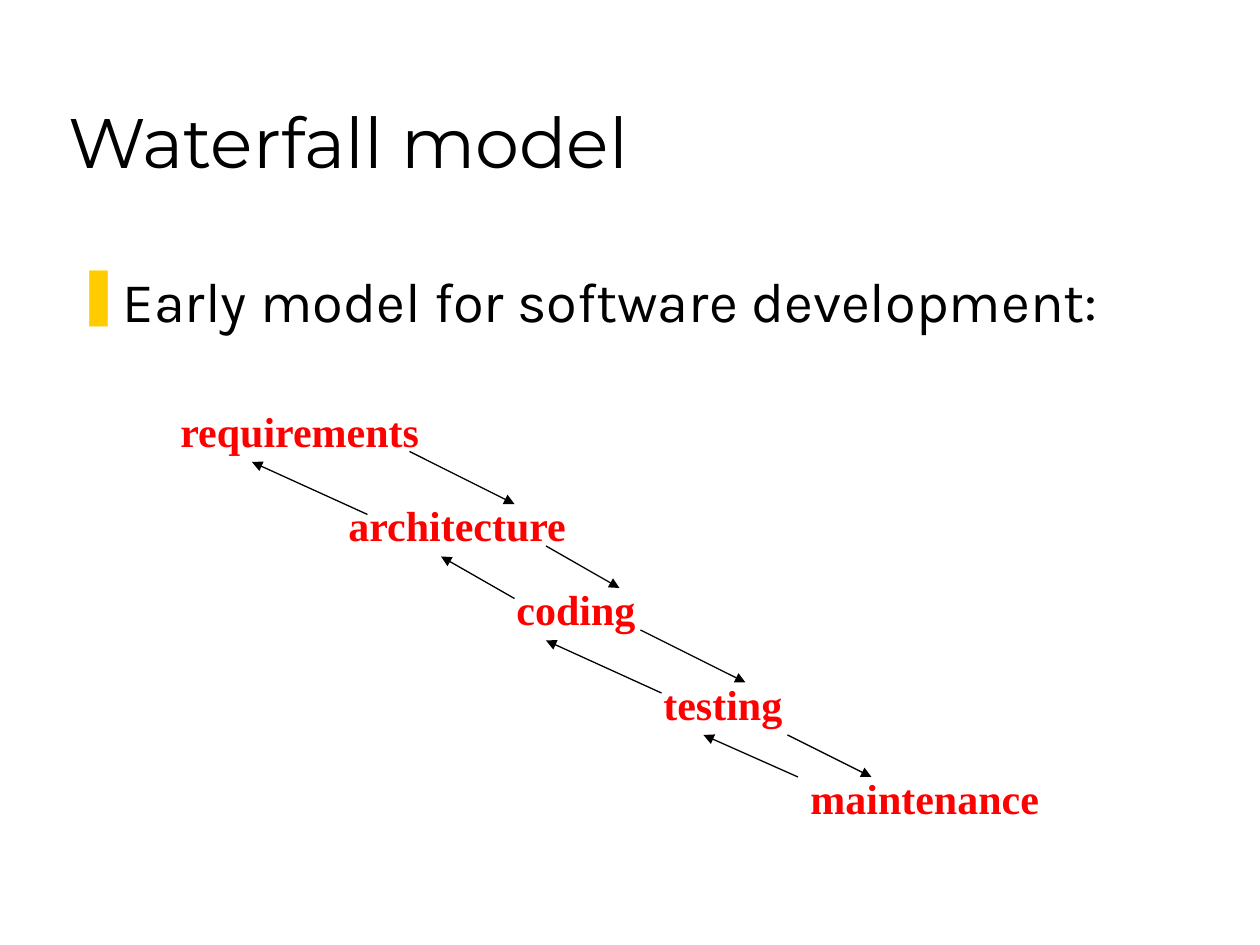
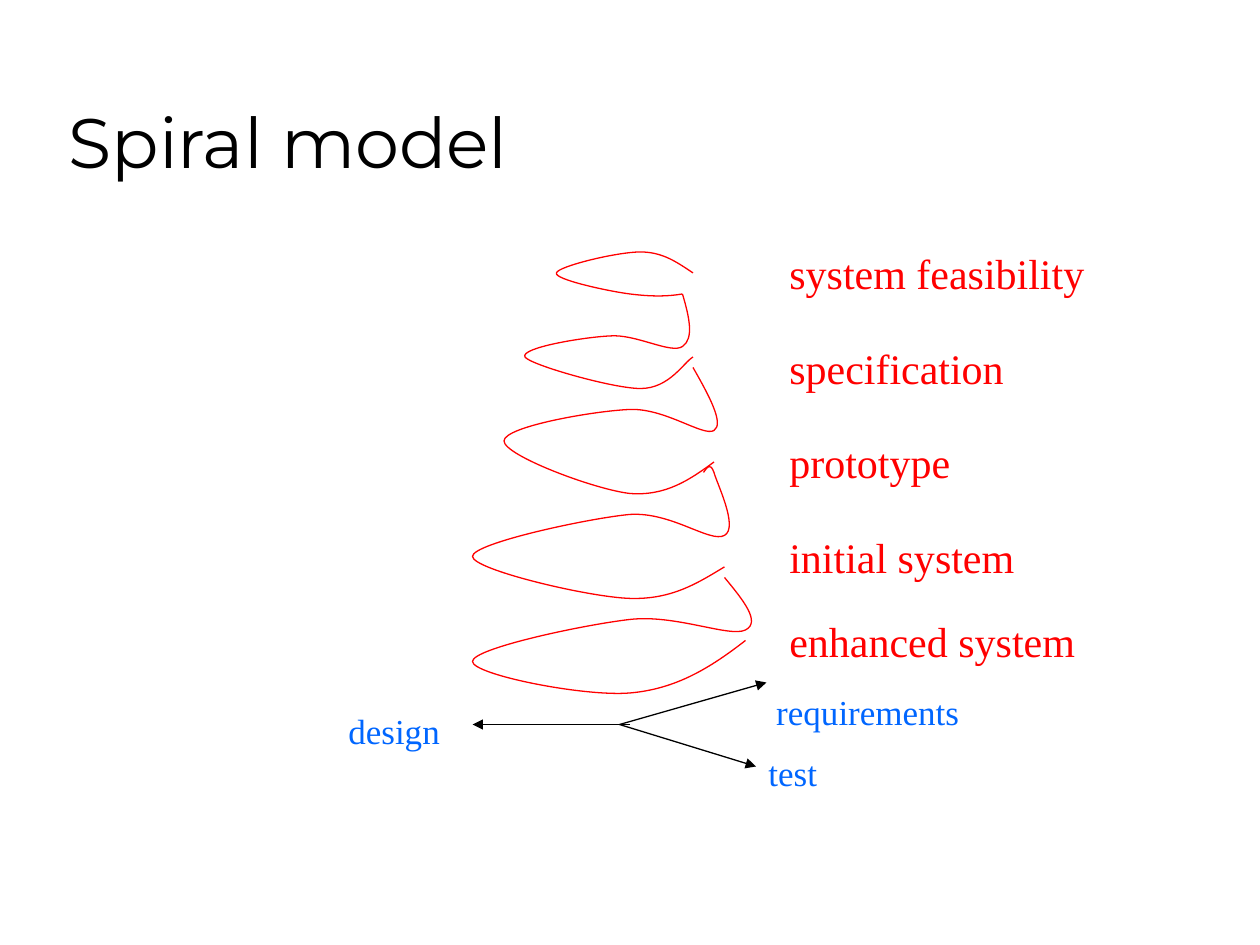
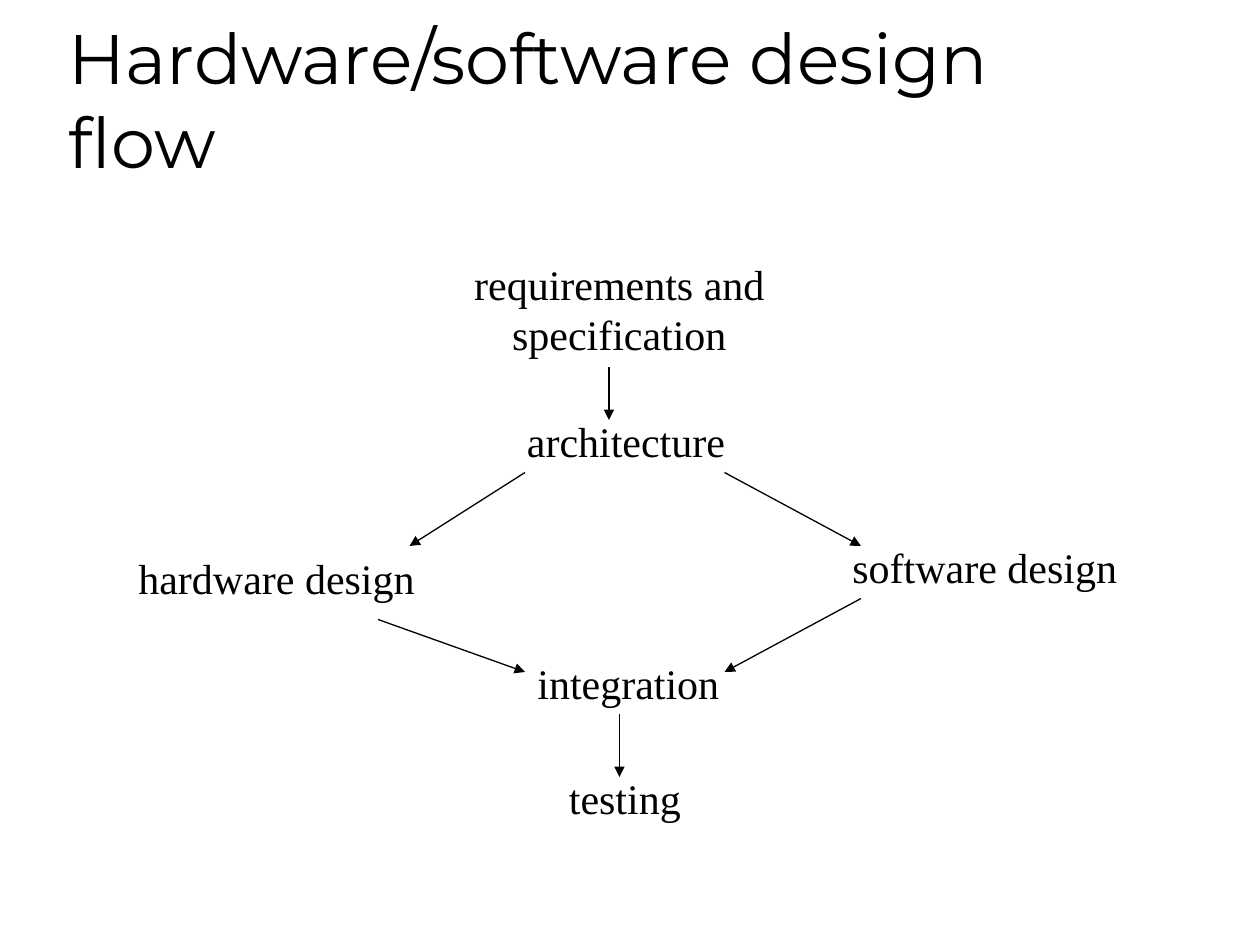
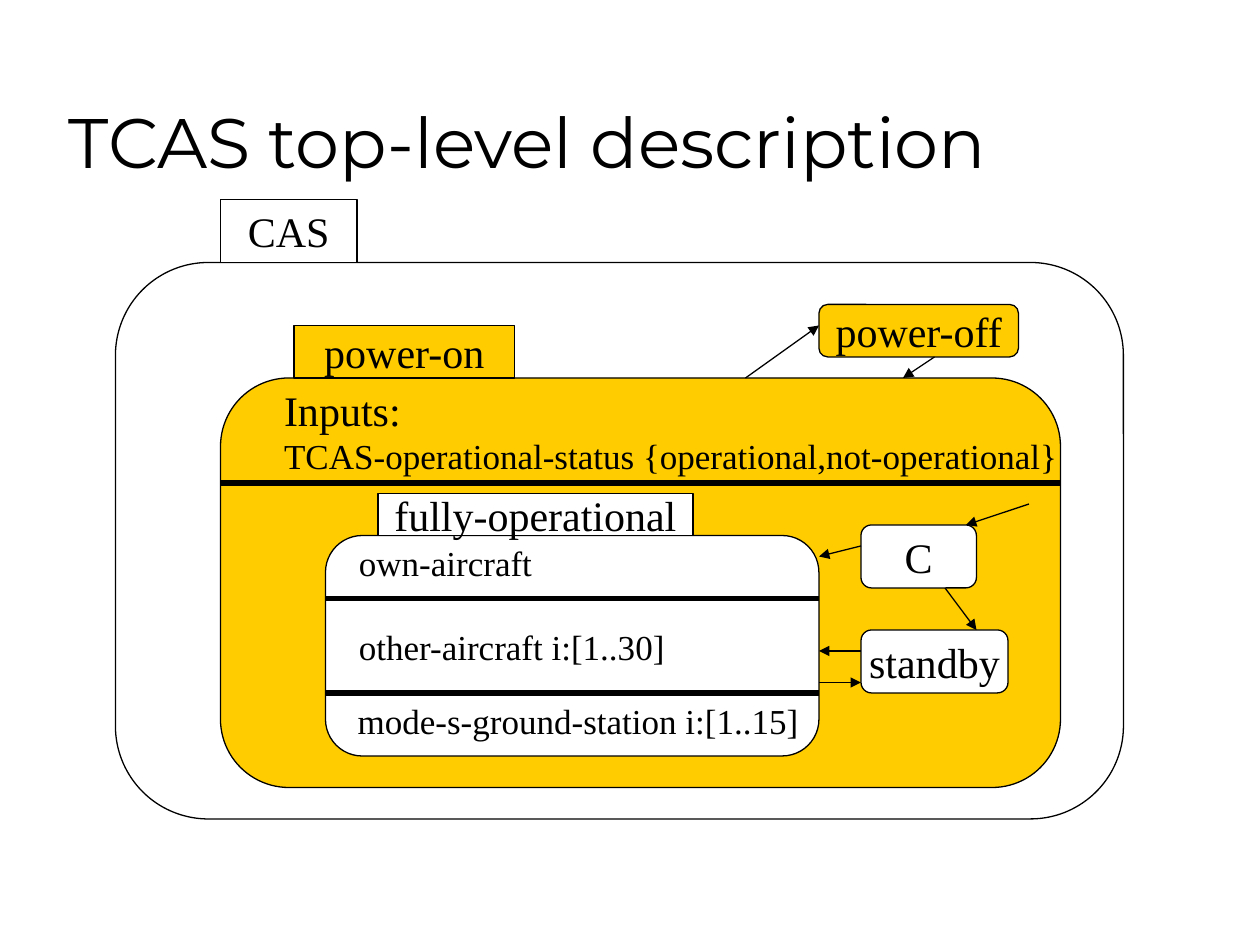
from dataclasses import dataclass

import pptx
import pptx.dml.color
import pptx.enum.shapes
import pptx.enum.text
import pptx.oxml
import pptx.oxml.ns
import pptx.util
from pptx.presentation import Presentation
from pptx.shapes.base import BaseShape
from pptx.slide import Slide
from pptx.text.text import TextFrame

PX = 9525  # one px is 1/96 inch
Point = tuple[int, int]
ALIGN = pptx.enum.text.PP_ALIGN
ANCHOR = pptx.enum.text.MSO_ANCHOR
SHAPE = pptx.enum.shapes.MSO_SHAPE


@dataclass(frozen=True)
class Theme:
    black: str = "000000"
    white: str = "FFFFFF"
    red: str = "FF0000"
    blue: str = "0066FF"
    yellow: str = "FFCC00"
    title_font: str = "Montserrat"
    body_font: str = "Karla"
    label_font: str = "Times New Roman"
    title_size: int = 40
    body_size: int = 32
    label_size: int = 24
    small_size: int = 20
    thin: float = 0.75
    thick: float = 3


THEME = Theme()


@dataclass(frozen=True)
class Label:
    """Diagram text; a line without a size of its own takes the last size."""
    text: str
    left: int
    top: int
    width: int
    color: str = THEME.black
    sizes: tuple[int, ...] = (THEME.label_size,)
    bold: bool = False
    align: ALIGN = ALIGN.LEFT


@dataclass(frozen=True)
class Box:
    left: int
    top: int
    width: int
    height: int
    fill: str = THEME.white
    text: str = ""
    rounded: bool = True


@dataclass(frozen=True)
class Line:
    start: Point
    end: Point
    width: float = THEME.thin
    arrow: bool = True


@dataclass(frozen=True)
class Curve:
    """A chain of cubic curves: two handles and an end for each."""
    start: Point
    points: tuple[Point, ...]


# Drawing

def px(*lengths: int) -> list[pptx.util.Emu]:
    return [pptx.util.Emu(length * PX) for length in lengths]


def rgb(color: str) -> pptx.dml.color.RGBColor:
    return pptx.dml.color.RGBColor.from_string(color)


def format_text(frame: TextFrame, font: str, sizes: tuple[int, ...], color: str = THEME.black,
                bold: bool = False, align: ALIGN = ALIGN.LEFT) -> None:
    for index, paragraph in enumerate(frame.paragraphs):
        paragraph.alignment = align
        for run in paragraph.runs:
            run.font.name = font
            run.font.size = pptx.util.Pt(sizes[min(index, len(sizes) - 1)])
            run.font.bold = bold
            run.font.color.rgb = rgb(color)


def add_slide(presentation: Presentation, title: str) -> Slide:
    slide = presentation.slides.add_slide(presentation.slide_layouts[6])
    frame = slide.shapes.add_textbox(*px(43, 24, 816, 120)).text_frame
    frame.word_wrap = True
    frame.vertical_anchor = ANCHOR.BOTTOM
    frame.text = title
    format_text(frame, THEME.title_font, (THEME.title_size,))
    return slide


def add_bullet(slide: Slide, text: str) -> None:
    frame = slide.shapes.add_textbox(*px(48, 198, 858, 66)).text_frame
    frame.word_wrap = True
    frame.text = text
    properties = frame.paragraphs[0]._p.get_or_add_pPr()
    indent = 36 * PX
    properties.set("marL", str(indent))
    properties.set("indent", str(-indent))
    namespace = pptx.oxml.ns.nsdecls("a")
    properties.append(pptx.oxml.parse_xml(
        f'<a:buClr {namespace}><a:srgbClr val="{THEME.yellow}"/></a:buClr>'))
    properties.append(pptx.oxml.parse_xml(f'<a:buChar {namespace} char="❚"/>'))
    format_text(frame, THEME.body_font, (THEME.body_size,))


def add_label(slide: Slide, label: Label) -> None:
    lines = label.text.count("\n") + 1
    height = 10 + sum(38 if label.sizes[min(index, len(label.sizes) - 1)] == THEME.label_size
                      else 32 for index in range(lines))
    frame = slide.shapes.add_textbox(*px(label.left, label.top, label.width, height)).text_frame
    frame.word_wrap = False
    frame.auto_size = pptx.enum.text.MSO_AUTO_SIZE.SHAPE_TO_FIT_TEXT
    frame.text = label.text
    format_text(frame, THEME.label_font, label.sizes, label.color, label.bold, label.align)


def set_outline(shape: BaseShape, color: str) -> None:
    shape.shadow.inherit = False
    shape.line.color.rgb = rgb(color)
    shape.line.width = pptx.util.Pt(THEME.thin)


def add_box(slide: Slide, box: Box) -> None:
    kind = SHAPE.ROUNDED_RECTANGLE if box.rounded else SHAPE.RECTANGLE
    shape = slide.shapes.add_shape(kind, *px(box.left, box.top, box.width, box.height))
    if box.rounded:
        shape.adjustments[0] = 0.167
    shape.fill.solid()
    shape.fill.fore_color.rgb = rgb(box.fill)
    set_outline(shape, THEME.black)
    if box.text:
        frame = shape.text_frame
        frame.word_wrap = False
        frame.vertical_anchor = ANCHOR.MIDDLE
        frame.text = box.text
        format_text(frame, THEME.label_font, (THEME.label_size,), align=ALIGN.CENTER)


def add_line(slide: Slide, line: Line) -> None:
    connector = slide.shapes.add_connector(
        pptx.enum.shapes.MSO_CONNECTOR.STRAIGHT, *px(*line.start, *line.end))
    connector.line.color.rgb = rgb(THEME.black)
    connector.line.width = pptx.util.Pt(line.width)
    namespace = pptx.oxml.ns.nsdecls("a")
    if line.arrow:
        connector.line._get_or_add_ln().append(
            pptx.oxml.parse_xml(f'<a:tailEnd {namespace} type="triangle"/>'))
    connector._element.spPr.append(pptx.oxml.parse_xml(f"<a:effectLst {namespace}/>"))


def add_curve(slide: Slide, curve: Curve) -> None:
    builder = slide.shapes.build_freeform(*curve.start, scale=PX)
    builder.add_line_segments(curve.points, close=False)
    shape = builder.convert_to_shape()
    shape.fill.background()
    set_outline(shape, THEME.red)
    # Every three straight segments become one cubic curve
    segments = list(shape._element.iter(pptx.oxml.ns.qn("a:lnTo")))
    outline = segments[0].getparent()
    for first in range(0, len(segments), 3):
        cubic = pptx.oxml.parse_xml(f'<a:cubicBezTo {pptx.oxml.ns.nsdecls("a")}/>')
        for segment in segments[first:first + 3]:
            cubic.append(segment[0])
            outline.remove(segment)
        outline.append(cubic)


def add_diagram(slide: Slide, items: list[Label | Box | Line | Curve]) -> None:
    draw = {Label: add_label, Box: add_box, Line: add_line, Curve: add_curve}
    for item in items:
        draw[type(item)](slide, item)


# Slides

def build_waterfall(presentation: Presentation) -> None:
    slide = add_slide(presentation, "Waterfall model")
    add_bullet(slide, "Early model for software development:")
    phases = [
        ("requirements", 128, 304, 204),
        ("architecture", 256, 376, 188),
        ("coding", 384, 440, 112),
        ("testing", 496, 512, 112),
        ("maintenance", 608, 584, 196),
    ]
    add_diagram(slide, [Label(*phase, color=THEME.red, bold=True) for phase in phases])
    add_diagram(slide, [
        Line((312, 344), (392, 384)),
        Line((280, 392), (192, 352)),
        Line((416, 416), (472, 448)),
        Line((392, 456), (336, 424)),
        Line((488, 480), (568, 520)),
        Line((504, 528), (416, 488)),
        Line((600, 560), (664, 592)),
        Line((608, 592), (536, 560)),
    ])


def build_spiral(presentation: Presentation) -> None:
    slide = add_slide(presentation, "Spiral model")
    add_diagram(slide, [
        Line((472, 552), (584, 520)),
        Line((480, 552), (360, 552)),
        Line((472, 552), (576, 584)),
    ])
    activities = [
        ("requirements", 582, 521, 161),
        ("design", 256, 536, 91),
        ("test", 576, 568, 58),
    ]
    add_diagram(slide, [Label(*activity, color=THEME.blue, sizes=(THEME.small_size,))
                        for activity in activities])
    stages = [
        ("system feasibility", 184, 246),
        ("specification", 256, 185),
        ("prototype", 328, 144),
        ("initial system", 400, 193),
        ("enhanced system", 464, 239),
    ]
    add_diagram(slide, [Label(text, 592, top, width, color=THEME.red)
                        for text, top, width in stages])
    add_diagram(slide, [
        Curve((528, 208), (
            (516, 200), (505, 192), (488, 192), (470, 192), (425, 203), (424, 208),
            (422, 213), (464, 222), (480, 224), (496, 226), (508, 226), (520, 224))),
        Curve((520, 224), (
            (525, 241), (529, 258), (520, 264), (511, 270), (484, 254), (464, 256),
            (444, 257), (396, 265), (400, 272), (404, 278), (467, 296), (488, 296),
            (510, 296), (521, 276), (528, 272))),
        Curve((528, 280), (
            (540, 301), (552, 323), (544, 328), (536, 333), (507, 311), (480, 312),
            (453, 313), (384, 325), (384, 336), (384, 347), (453, 373), (480, 376),
            (507, 378), (525, 366), (544, 352))),
        Curve((536, 360), (
            (539, 356), (541, 352), (544, 360), (546, 368), (563, 402), (552, 408),
            (541, 414), (512, 390), (480, 392), (448, 395), (360, 414), (360, 424),
            (360, 434), (448, 455), (480, 456), (512, 457), (532, 444), (552, 432))),
        Curve((552, 440), (
            (566, 457), (580, 474), (568, 480), (556, 486), (515, 468), (480, 472),
            (445, 476), (360, 494), (360, 504), (360, 514), (445, 531), (480, 528),
            (515, 525), (541, 509), (568, 488))),
    ])


def build_design_flow(presentation: Presentation) -> None:
    slide = add_slide(presentation, "Hardware/software design flow")
    add_diagram(slide, [
        Label("requirements and\nspecification", 350, 192, 244, align=ALIGN.CENTER),
        Label("architecture", 392, 312, 172),
        Label("hardware design", 96, 416, 232),
        Label("software design", 640, 408, 223),
        Label("integration", 400, 496, 160),
        Label("testing", 424, 584, 107),
        Line((464, 280), (464, 320)),
        Line((400, 360), (312, 416)),
        Line((552, 360), (656, 416)),
        Line((288, 472), (400, 512)),
        Line((656, 456), (552, 512)),
        Line((472, 544), (472, 592)),
    ])


def build_tcas(presentation: Presentation) -> None:
    slide = add_slide(presentation, "TCAS top-level description")
    small = (THEME.small_size,)
    # States, from the outermost inwards
    add_diagram(slide, [
        Box(88, 200, 768, 424),
        Box(168, 152, 104, 48, text="CAS", rounded=False),
        Box(624, 232, 152, 40, THEME.yellow, "power-off"),
        Box(168, 288, 640, 312, THEME.yellow),
        Line((168, 368), (808, 368), THEME.thick, arrow=False),
        Box(224, 248, 168, 40, THEME.yellow, "power-on", rounded=False),
        Label("Inputs:\nTCAS-operational-status {operational,not-operational}", 207, 288, 611,
              sizes=(THEME.label_size, THEME.small_size)),
        Box(248, 408, 376, 168),
        Box(288, 376, 240, 32, text="fully-operational", rounded=False),
        Box(656, 400, 88, 48, text="C"),
        Box(656, 480, 112, 48, text="standby"),
    ])
    # Compartments of the fully operational state
    add_diagram(slide, [Line((248, y), (624, y), THEME.thick, arrow=False) for y in (456, 528)])
    add_diagram(slide, [
        Label("own-aircraft", 264, 408, 153, sizes=small),
        Label("other-aircraft i:[1..30]", 264, 472, 254, sizes=small),
        Label("mode-s-ground-station i:[1..15]", 263, 528, 358, sizes=small),
    ])
    # Transitions
    add_diagram(slide, [
        Line((568, 288), (624, 248)),
        Line((712, 272), (688, 288)),
        Line((784, 384), (736, 400)),
        Line((656, 416), (624, 424)),
        Line((720, 448), (744, 480)),
        Line((656, 496), (624, 496)),
        Line((624, 520), (656, 520)),
    ])


def main() -> None:
    presentation = pptx.Presentation()
    presentation.slide_width, presentation.slide_height = px(960, 720)
    build_waterfall(presentation)
    build_spiral(presentation)
    build_design_flow(presentation)
    build_tcas(presentation)
    presentation.save("out.pptx")


if __name__ == "__main__":
    main()
